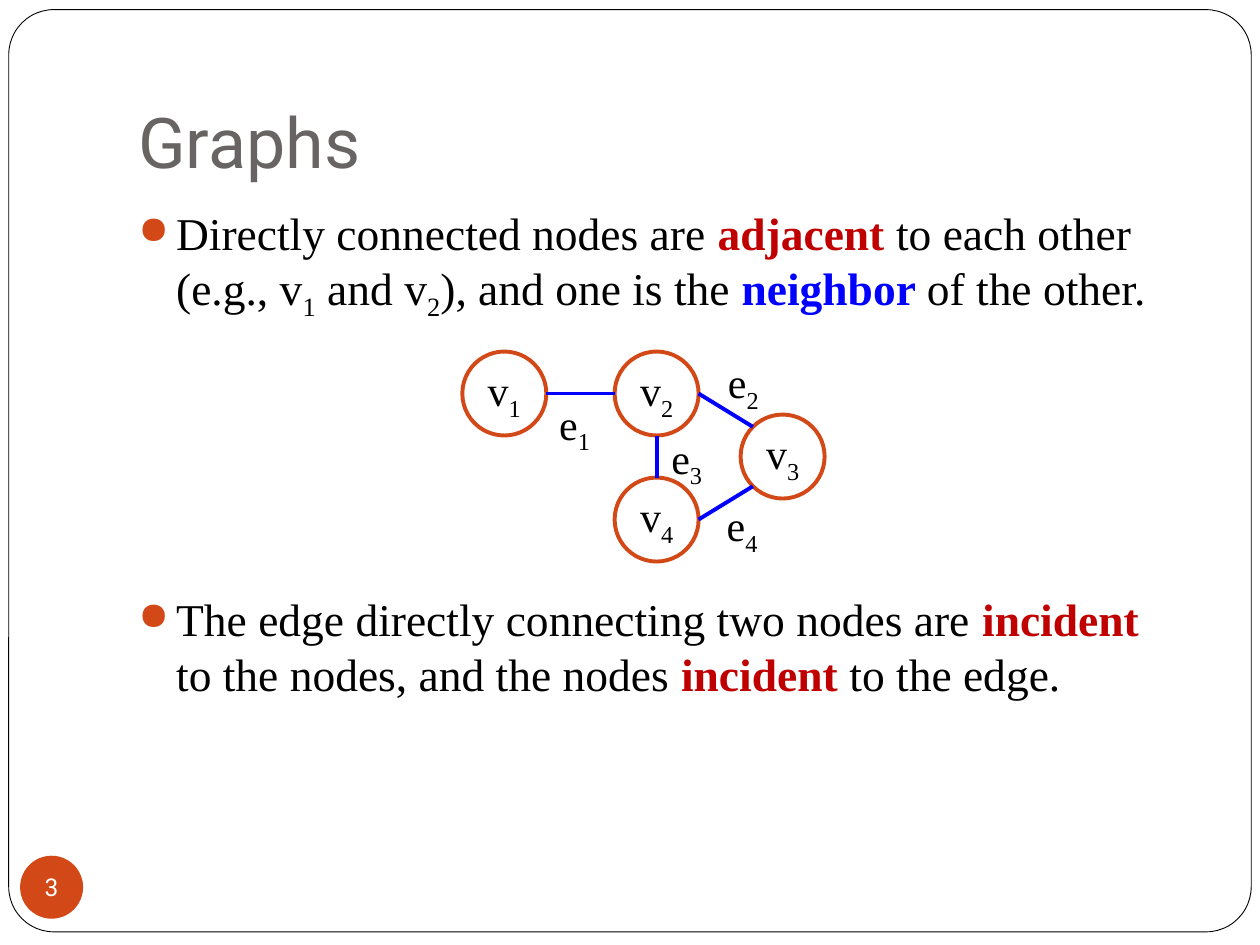
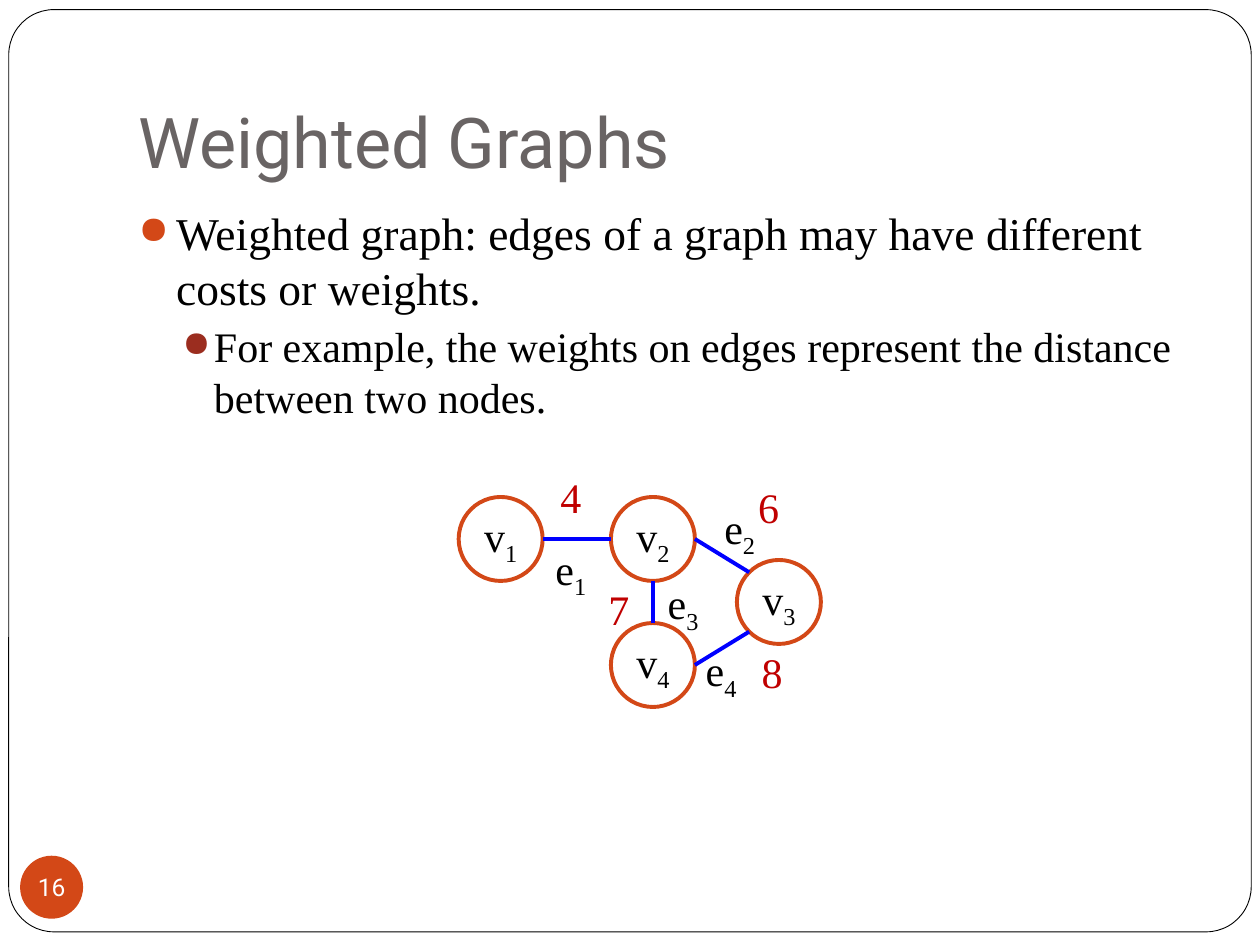
from lxml import etree
from pptx import Presentation
from pptx.dml.color import RGBColor
from pptx.enum.shapes import MSO_CONNECTOR, MSO_SHAPE
from pptx.enum.text import MSO_ANCHOR, PP_ALIGN
from pptx.oxml.ns import qn
from pptx.util import Pt

OVAL, ROUND = MSO_SHAPE.OVAL, MSO_SHAPE.ROUNDED_RECTANGLE
LINE = MSO_CONNECTOR.STRAIGHT
TOP, MID, LOW = MSO_ANCHOR.TOP, MSO_ANCHOR.MIDDLE, MSO_ANCHOR.BOTTOM
LEFT, MIDST = PP_ALIGN.LEFT, PP_ALIGN.CENTER

COLOR = {"ink": "000000", "paper": "FFFFFF", "title": "696464", "rust": "D34817",
         "brick": "9B2D1F", "red": "C00000", "blue": "0000FF"}
SANS, SERIF = "Roboto", "Times New Roman"

# Bullet levels: left margin, hanging indent, size, space before, bullet colour
LEVEL = [(21.6, 21.6, 26, 5.8, "rust"), (43.2, 18, 24, 3.7, "brick")]

# Graph, relative to the corner of v1
SIZE = 48
NODES = {"1": (0, 0), "2": (87, 0), "3": (159, 36), "4": (87, 72)}
EDGES = [("1", "right", "2", "left"), ("2", "right", "3", "upper"),
         ("4", "right", "3", "lower"), ("4", "top", "2", "bottom")]
SITE = {"left": (0, .5), "right": (1, .5), "top": (.5, 0), "bottom": (.5, 1),
        "upper": (.146, .146), "lower": (.146, .854)}
NAMES = {"1": (48.2, 23), "2": (144.7, -.5), "3": (112.3, 42.5), "4": (144, 81)}

# Each bullet: level, extra space above, runs of (text, style)
SLIDES = [
    {"title": "Graphs", "page": "3", "graph": (264.2, 200.9),
     "body": [
         (0, 0, [("Directly connected nodes are ", ""), ("adjacent ", "red"),
                 ("to each other (e.g., v", ""), ("1", "sub"), (" and v", ""),
                 ("2", "sub"), ("), and one is the ", ""), ("neighbor ", "blue"),
                 ("of the other.", "")]),
         (0, 148, [("The edge directly connecting two nodes are ", ""),
                   ("incident ", "red"), ("to the nodes, and the nodes ", ""),
                   ("incident ", "red"), ("to the edge.", "")])],
     "names": NAMES, "costs": {}},
    {"title": "Weighted Graphs", "page": "16", "graph": (262.1, 284),
     "body": [
         (0, 0, [("Weighted graph: edges of a graph may have different "
                  "costs or weights.", "")]),
         (1, 0, [("For example, the weights on edges represent the distance "
                  "between two nodes.", "")])],
     "names": {**NAMES, "4": (134, 81)},
     "costs": {"4": (51, -18), "6": (164, -12.5), "7": (78.5, 46), "8": (166, 82)}},
]


def rgb(name):
    return RGBColor.from_string(COLOR[name])


def add_run(para, text, size, font=SERIF, color="ink", style=""):
    run = para.add_run()
    run.text = text
    face = run.font
    face.name, face.size = font, Pt(size)
    face.color.rgb = rgb(style if style in COLOR else color)
    if style in COLOR:
        face.bold = True
    if style == "sub":
        face._element.set("baseline", "-25000")


def set_frame(shape, anchor=TOP, pad=(7.2, 3.6, 7.2, 3.6), wrap=True, align=LEFT):
    frame = shape.text_frame
    frame.word_wrap, frame.vertical_anchor = wrap, anchor
    (frame.margin_left, frame.margin_top,
     frame.margin_right, frame.margin_bottom) = map(Pt, pad)
    frame.paragraphs[0].alignment = align
    return frame


def add_box(slide, x, y, w, h, **kind):
    box = slide.shapes.add_textbox(Pt(x), Pt(y), Pt(w), Pt(h))
    return set_frame(box, **kind)


def add_form(slide, form, x, y, w, h, fill=None, line=None, width=0):
    shape = slide.shapes.add_shape(form, Pt(x), Pt(y), Pt(w), Pt(h))
    shape.shadow.inherit = False
    if fill:
        shape.fill.solid()
        shape.fill.fore_color.rgb = rgb(fill)
    else:
        shape.fill.background()
    if line:
        shape.line.color.rgb = rgb(line)
        shape.line.width = Pt(width)
    else:
        shape.line.fill.background()
    return shape


def add_disc(slide, x, y, size, **look):
    disc = add_form(slide, OVAL, x, y, size, size, **look)
    frame = set_frame(disc, MID, (0, 0, 0, 0), False, MIDST)
    return frame.paragraphs[0]


def add_base(slide, title, page):
    slide.background.fill.solid()
    slide.background.fill.fore_color.rgb = rgb("paper")
    border = add_form(slide, ROUND, 5, 5.5, 710, 527, "paper", "ink", .5)
    border.adjustments[0] = .049
    head = add_box(slide, 72, 21.6, 612, 90, anchor=LOW, pad=(7.2, 3.6, 7.2, 7.2))
    add_run(head.paragraphs[0], title, 40, SANS, "title")
    badge = add_disc(slide, 11.5, 489, 36, fill="rust")
    add_run(badge, page, 14, SANS, "paper")


def add_body(slide, items):
    frame = add_box(slide, 72, 113.8, 612, 360)
    for i, (level, extra, runs) in enumerate(items):
        para = frame.add_paragraph() if i else frame.paragraphs[0]
        margin, hang, size, space, color = LEVEL[level]
        para.level = level
        para.space_before = Pt(space + extra)
        props = para._p.get_or_add_pPr()
        props.set("marL", str(Pt(margin)))
        props.set("indent", str(-Pt(hang)))
        tint = etree.SubElement(props, qn("a:buClr"))
        etree.SubElement(tint, qn("a:srgbClr"), val=COLOR[color])
        etree.SubElement(props, qn("a:buSzPct"), val="85000")
        etree.SubElement(props, qn("a:buChar"), char="●")
        for text, style in runs:
            add_run(para, text, size, style=style)


def add_graph(slide, left, top, names, costs):
    # Nodes
    for key, (x, y) in NODES.items():
        para = add_disc(slide, left + x, top + y, SIZE, line="rust", width=2.25)
        add_run(para, "v", 24)
        add_run(para, key, 24, style="sub")

    # Edges
    def spot(node, site):
        return [Pt(base + at + SIZE * part) for base, at, part
                in zip((left, top), NODES[node], SITE[site])]

    for start, out, end, into in EDGES:
        edge = slide.shapes.add_connector(LINE, *spot(start, out), *spot(end, into))
        edge.line.color.rgb = rgb("blue")
        edge.line.width = Pt(2.25)
        etree.SubElement(edge._element.spPr, qn("a:effectLst"))

    # Edge names and weights
    for key, (x, y) in names.items():
        para = add_box(slide, left + x, top + y, 32, 36, wrap=False).paragraphs[0]
        add_run(para, "e", 24)
        add_run(para, key, 24, style="sub")
    for cost, (x, y) in costs.items():
        para = add_box(slide, left + x, top + y, 26, 36, wrap=False).paragraphs[0]
        add_run(para, cost, 24, color="red")


deck = Presentation()
deck.slide_width, deck.slide_height = Pt(720), Pt(540)
for data in SLIDES:
    slide = deck.slides.add_slide(deck.slide_layouts[6])
    add_base(slide, data["title"], data["page"])
    add_body(slide, data["body"])
    add_graph(slide, *data["graph"], data["names"], data["costs"])
deck.save("out.pptx")
